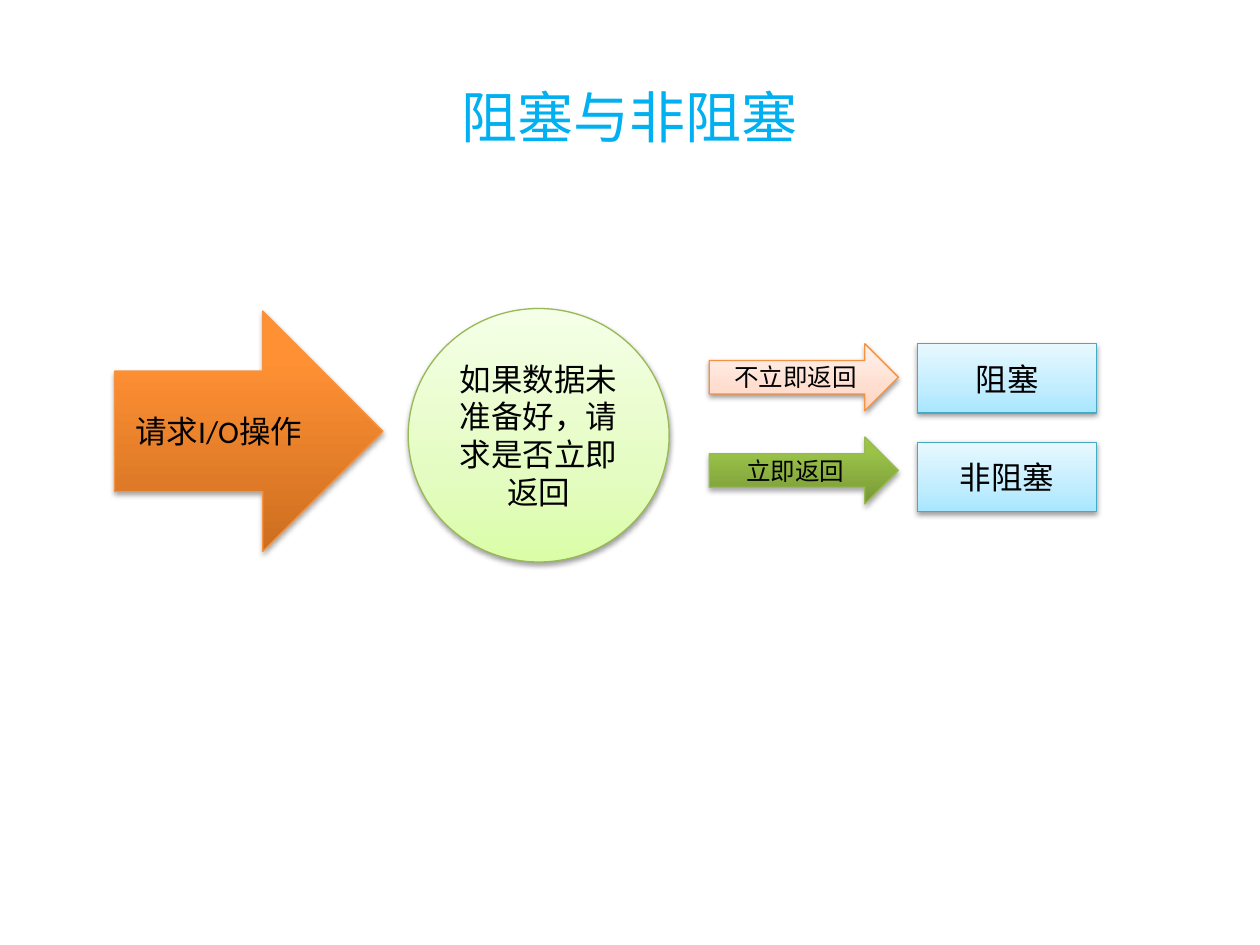
import pptx
import pptx.util
import pptx.dml.color
import pptx.enum.shapes
import pptx.enum.text
import pptx.oxml
import pptx.oxml.ns

Cm = pptx.util.Cm
Pt = pptx.util.Pt
RGB = pptx.dml.color.RGBColor
ShapeType = pptx.enum.shapes.MSO_SHAPE

THEME = {
    "font": "Calibri",
    "title": ("00B0F0", 32),
    "text": "000000",
    "large": 18,
    "small": 14,
    "line_width": 0.75,
    "strong_shadow": {"blur": 3.15, "distance": 1.81, "alpha": 35},
    "soft_shadow": {"blur": 3.15, "distance": 1.57, "alpha": 38},
    "orange": (((0, "CC6E20"), (80, "FF9034"), (100, "FF9136")), "F69240", "strong_shadow"),
    "green": (((0, "779737"), (80, "9BC348"), (100, "9DC746")), "98B955", "strong_shadow"),
    "pale_green": (((0, "DAFDA7"), (35, "E4FCC2"), (100, "F5FFE7")), "98B955", "soft_shadow"),
    "pale_orange": (((0, "FFD2BD"), (35, "FFDED0"), (100, "FFF2ED")), "F69240", "soft_shadow"),
    "pale_blue": (((0, "A7E6FF"), (35, "C1EDFF"), (100, "E7F8FF")), "46AAC5", "soft_shadow"),
}

TITLE = "阻塞与非阻塞"
REQUEST = ("请求I/O操作", ShapeType.RIGHT_ARROW, "orange", (2.31, 6.27, 5.41, 4.85))
DECISION = ("如果数据未准备好，请求是否立即返回", ShapeType.OVAL, "pale_green", (8.23, 6.22, 5.26, 5.11))
OUTCOMES = [
    ("不立即返回", "pale_orange", "阻塞"),
    ("立即返回", "green", "非阻塞"),
]
OUTCOME_TOP = 6.93
ARROW = {"left": 14.3, "width": 3.81, "height": 1.35, "pitch": 1.88}
RESULT = {"left": 18.5, "width": 3.61, "height": 1.4, "pitch": 1.99}


def parse_drawing(tag, attributes, content):
    namespace = pptx.oxml.ns.nsdecls("a")
    return pptx.oxml.parse_xml(f"<a:{tag} {namespace} {attributes}>{content}</a:{tag}>")


def add_text(shape, text, size, color):
    frame = shape.text_frame
    frame.word_wrap = True
    frame.vertical_anchor = pptx.enum.text.MSO_ANCHOR.MIDDLE
    paragraph = frame.paragraphs[0]
    paragraph.alignment = pptx.enum.text.PP_ALIGN.CENTER
    run = paragraph.add_run()
    run.text = text
    run.font.name = THEME["font"]
    run.font.size = Pt(size)
    run.font.color.rgb = RGB.from_string(color)


def paint(shape, style):
    stops, line_color, shadow_name = THEME[style]
    shape.fill.gradient()
    shape.fill.gradient_angle = 90
    properties = shape._element.spPr
    stop_list = properties.find(".//" + pptx.oxml.ns.qn("a:gsLst"))
    for stop in list(stop_list):
        stop_list.remove(stop)
    for position, color in stops:
        stop_list.append(parse_drawing("gs", f'pos="{position * 1000}"', f'<a:srgbClr val="{color}"/>'))
    shape.line.color.rgb = RGB.from_string(line_color)
    shape.line.width = Pt(THEME["line_width"])
    shape.shadow.inherit = False
    shadow = THEME[shadow_name]
    attributes = (
        f'blurRad="{Pt(shadow["blur"])}" dist="{Pt(shadow["distance"])}" '
        'dir="5400000" rotWithShape="0"'
    )
    color = f'<a:srgbClr val="000000"><a:alpha val="{shadow["alpha"] * 1000}"/></a:srgbClr>'
    effects = properties.find(pptx.oxml.ns.qn("a:effectLst"))
    effects.append(parse_drawing("outerShdw", attributes, color))


def add_step(slide, text, shape_type, style, box, size=THEME["large"]):
    shape = slide.shapes.add_shape(shape_type, *map(Cm, box))
    paint(shape, style)
    add_text(shape, text, size, THEME["text"])


def row_box(column, row):
    top = OUTCOME_TOP + row * column["pitch"]
    return column["left"], top, column["width"], column["height"]


def main():
    presentation = pptx.Presentation()
    presentation.slide_width = Cm(25.4)
    presentation.slide_height = Cm(19.05)
    slide = presentation.slides.add_slide(presentation.slide_layouts[6])

    title = slide.shapes.add_textbox(Cm(1.27), Cm(0.76), Cm(22.86), Cm(3.18))
    title_color, title_size = THEME["title"]
    add_text(title, TITLE, title_size, title_color)

    add_step(slide, *REQUEST)
    add_step(slide, *DECISION)
    for row, (answer, style, result) in enumerate(OUTCOMES):
        add_step(slide, answer, ShapeType.RIGHT_ARROW, style, row_box(ARROW, row), THEME["small"])
        add_step(slide, result, ShapeType.RECTANGLE, "pale_blue", row_box(RESULT, row))

    presentation.save("out.pptx")


if __name__ == "__main__":
    main()
